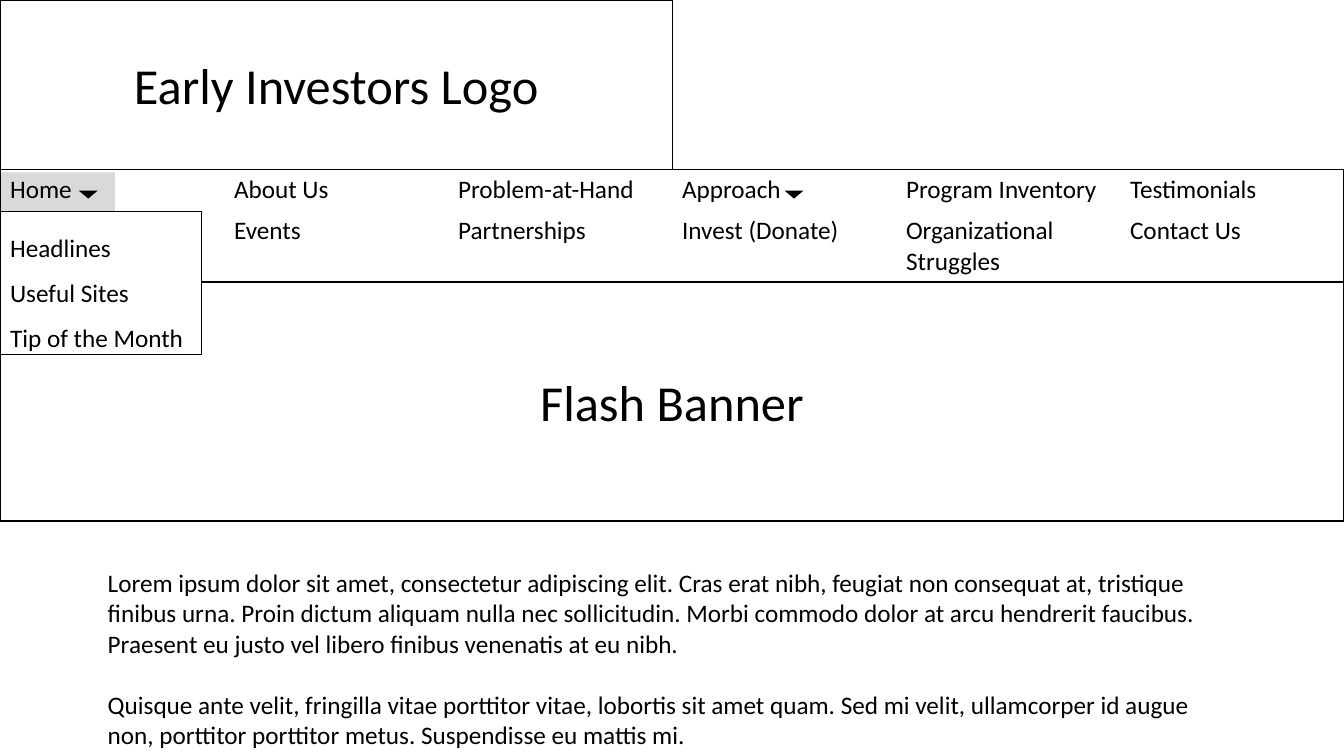
from dataclasses import dataclass

from lxml.etree import SubElement
from pptx import Presentation
from pptx.dml.color import RGBColor
from pptx.enum.shapes import MSO_SHAPE as SHAPE
from pptx.enum.text import MSO_ANCHOR as ANCHOR, MSO_AUTO_SIZE as AUTO, PP_ALIGN as ALIGN
from pptx.oxml.ns import qn
from pptx.util import Emu, Pt

PX = 9144  # 100 px to the inch
WIDTH, HEIGHT = 1333, 750
COLORS = {"ink": "000000", "paper": "FFFFFF", "active": "D9D9D9"}
FONT = "Calibri"

NAV = [
    ["Home", "About Us", "Problem-at-Hand", "Approach", "Program Inventory", "Testimonials"],
    ["", "Events", "Partnerships", "Invest (Donate)", "Organizational Struggles", "Contact Us"],
]
NAV_TOP, NAV_ROWS = 168, [41, 70]
MENU = ["Headlines", "Useful Sites", "Tip of the Month"]
BODY = [
    "Lorem ipsum dolor sit amet, consectetur adipiscing elit. Cras erat nibh, feugiat non "
    "consequat at, tristique finibus urna. Proin dictum aliquam nulla nec sollicitudin. Morbi "
    "commodo dolor at arcu hendrerit faucibus. Praesent eu justo vel libero finibus venenatis "
    "at eu nibh.",
    "Quisque ante velit, fringilla vitae porttitor vitae, lobortis sit amet quam. Sed mi velit, "
    "ullamcorper id augue non, porttitor porttitor metus. Suspendisse eu mattis mi.",
]


@dataclass
class Box:
    left: int
    top: int
    width: int
    height: int

    def emu(self) -> list[Emu]:
        return [Emu(v * PX) for v in (self.left, self.top, self.width, self.height)]


LOGO = Box(0, 0, 667, 168)
HOME_TAB = Box(0, 171, 114, 39)
BANNER = Box(0, 279, WIDTH, 238)
DROPDOWN = Box(0, 210, 200, 142)
BODY_BOX = Box(97, 558, 1128, 192)
ARROWS = [Box(left, 189, 19, 8) for left in (78, 778)]

PLAIN = {"space_before": Pt(0), "space_after": Pt(0)}
CENTERED = PLAIN | {"alignment": ALIGN.CENTER}
LOOSE = PLAIN | {"line_spacing": 1.5}


def rgb(name: str) -> RGBColor:
    return RGBColor.from_string(COLORS[name])


def write(tf, lines: list[str], size: int, formats: dict) -> None:
    tf.text = "\n".join(lines)
    for p in tf.paragraphs:
        for name, value in formats.items():
            setattr(p, name, value)
        for r in p.runs:
            for name, value in {"name": FONT, "size": Pt(size)}.items():
                setattr(r.font, name, value)
            r.font.color.rgb = rgb("ink")


def paint(sp, fill: str | None = None, line: float = 0) -> None:
    sp.shadow.inherit = False
    if fill:
        sp.fill.solid()
        sp.fill.fore_color.rgb = rgb(fill)
    else:
        sp.fill.background()
    if line:
        sp.line.color.rgb = rgb("ink")
        sp.line.width = Pt(line)
    else:
        sp.line.fill.background()


def place(sp, box: Box) -> None:
    sp.left, sp.top, sp.width, sp.height = box.emu()
    sp.text_frame.auto_size = AUTO.NONE


def add_shape(s, kind: SHAPE, box: Box, fill: str | None = None, line: float = 0):
    sp = s.shapes.add_shape(kind, *box.emu())
    paint(sp, fill, line)
    return sp


def set_borders(cell, edges: dict[str, bool]) -> None:
    tc_pr = cell._tc.get_or_add_tcPr()
    for side, drawn in edges.items():
        ln = SubElement(tc_pr, qn(f"a:ln{side}"), w=str(Pt(1)))
        if drawn:
            solid = SubElement(ln, qn("a:solidFill"))
            SubElement(solid, qn("a:srgbClr"), val=COLORS["ink"])
        else:
            SubElement(ln, qn("a:noFill"))


def add_nav(s) -> None:
    rows, cols = len(NAV), len(NAV[0])
    frame = Box(0, NAV_TOP, WIDTH, sum(NAV_ROWS))
    table = s.shapes.add_table(rows, cols, *frame.emu()).table
    table.first_row = table.horz_banding = False
    for row, height in zip(table.rows, NAV_ROWS):
        row.height = Emu(height * PX)
    for i, labels in enumerate(NAV):
        for j, label in enumerate(labels):
            cell = table.cell(i, j)
            write(cell.text_frame, [label], 18, PLAIN)
            set_borders(cell, {"L": j == 0, "R": j == cols - 1,
                               "T": i == 0, "B": i == rows - 1})
            cell.fill.background()


def main() -> None:
    prs = Presentation()
    prs.slide_width, prs.slide_height = Emu(WIDTH * PX), Emu(HEIGHT * PX)
    s = prs.slides.add_slide(prs.slide_layouts[1])
    logo, menu = s.shapes.title, s.placeholders[1]

    # Header
    place(logo, LOGO)
    paint(logo, line=1)
    write(logo.text_frame, ["Early Investors Logo"], 36, CENTERED)
    logo.text_frame.vertical_anchor = ANCHOR.MIDDLE

    # Navigation
    add_shape(s, SHAPE.RECTANGLE, HOME_TAB, "active")
    add_nav(s)
    for box in ARROWS:
        add_shape(s, SHAPE.ISOSCELES_TRIANGLE, box, "ink").rotation = 180

    # Banner
    banner = add_shape(s, SHAPE.RECTANGLE, BANNER, line=1)
    write(banner.text_frame, ["Flash Banner"], 36, CENTERED)
    banner.text_frame.vertical_anchor = ANCHOR.MIDDLE

    # Body copy
    tf = s.shapes.add_textbox(*BODY_BOX.emu()).text_frame
    tf.word_wrap = True
    write(tf, BODY, 18, PLAIN)
    tf.paragraphs[1].space_before = Pt(22)

    # Open dropdown, in front of everything
    place(menu, DROPDOWN)
    paint(menu, "paper", 0.75)
    write(menu.text_frame, MENU, 18, LOOSE)
    for p in menu.text_frame.paragraphs:
        p_pr = p._p.get_or_add_pPr()
        p_pr.set("marL", "0")
        p_pr.set("indent", "0")
        SubElement(p_pr, qn("a:buNone"))
    s.shapes._spTree.append(menu._element)

    prs.save("out.pptx")


if __name__ == "__main__":
    main()
